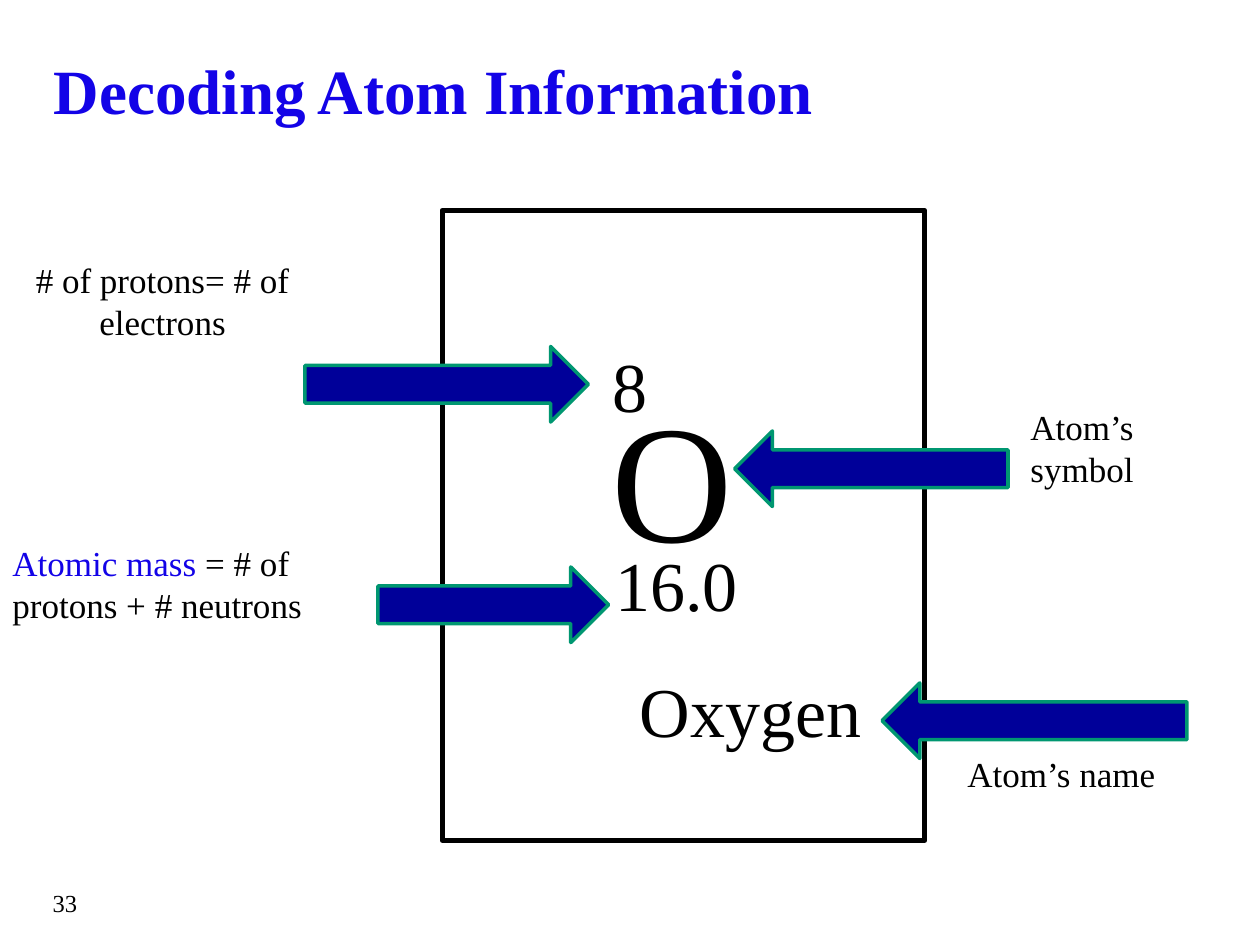
from dataclasses import dataclass

from pptx import Presentation
from pptx import util as u
from pptx.dml.color import RGBColor
from pptx.enum import shapes, text


@dataclass(frozen=True)
class Theme:
    font: str = "Times New Roman"
    ink: str = "000000"
    accent: str = "1303E7"
    paper: str = "FFFFFF"
    arrow_fill: str = "000099"
    arrow_edge: str = "009771"
    title: int = 36
    symbol: int = 96
    value: int = 40
    label: int = 20
    page_number: int = 14


LEFT, CENTER, RIGHT = text.PP_ALIGN.LEFT, text.PP_ALIGN.CENTER, text.PP_ALIGN.RIGHT


class AtomSlide:
    def __init__(self, slide, theme):
        self.slide = slide
        self.theme = theme

    def text_box(self, box, paragraphs, size, align=LEFT, bold=False,
                 anchor=text.MSO_ANCHOR.TOP):
        """Each paragraph is a list of (wording, colour) runs."""
        shape = self.slide.shapes.add_textbox(*map(u.Inches, box))
        frame = shape.text_frame
        frame.word_wrap = True
        frame.vertical_anchor = anchor
        for index, runs in enumerate(paragraphs):
            paragraph = frame.add_paragraph() if index else frame.paragraphs[0]
            paragraph.alignment = align
            for wording, color in runs:
                run = paragraph.add_run()
                run.text = wording
                run.font.name = self.theme.font
                run.font.size = u.Pt(size)
                run.font.bold = bold
                run.font.color.rgb = RGBColor.from_string(color)

    def plain_text(self, box, lines, size, align=LEFT):
        self.text_box(box, [[(line, self.theme.ink)] for line in lines], size, align)

    def outlined_shape(self, kind, box, fill, edge, width):
        shape = self.slide.shapes.add_shape(kind, *map(u.Inches, box))
        shape.shadow.inherit = False
        shape.fill.solid()
        shape.fill.fore_color.rgb = RGBColor.from_string(fill)
        shape.line.color.rgb = RGBColor.from_string(edge)
        shape.line.width = u.Pt(width)
        return shape

    def card(self, box):
        self.outlined_shape(shapes.MSO_SHAPE.RECTANGLE, box,
                            self.theme.paper, self.theme.ink, 3)

    def arrow(self, left, top, length, points_left=False):
        arrow = self.outlined_shape(
            shapes.MSO_SHAPE.RIGHT_ARROW, (left, top, length, 0.6),
            self.theme.arrow_fill, self.theme.arrow_edge, 2)
        arrow.rotation = 180 if points_left else 0


def main():
    presentation = Presentation()
    presentation.slide_width = u.Inches(10)
    presentation.slide_height = u.Inches(7.5)
    theme = Theme()
    atom = AtomSlide(presentation.slides.add_slide(presentation.slide_layouts[6]), theme)

    atom.plain_text((0, 7, 0.71, 0.5), ["33"], theme.page_number, RIGHT)
    atom.text_box((0.33, 0.33, 8.5, 0.75), [[("Decoding Atom Information", theme.accent)]],
                  theme.title, bold=True, anchor=text.MSO_ANCHOR.MIDDLE)

    atom.card((3.51, 1.67, 3.83, 5))
    for box, wording, size in (
        ((4.67, 2.92, 1.33, 1.72), "O", theme.symbol),
        ((4.83, 5.25, 2.25, 0.77), "Oxygen", theme.value),
        ((4.5, 2.67, 1, 0.77), "8", theme.value),
        ((4.58, 4.25, 1.58, 0.77), "16.0", theme.value),
    ):
        atom.plain_text(box, [wording], size, CENTER)

    for box, lines, align in (
        ((8.08, 3.17, 1.67, 0.77), ["Atom’s", "symbol"], LEFT),
        ((7.58, 5.92, 1.93, 0.44), ["Atom’s name"], LEFT),
        ((0, 2, 2.58, 0.77), ["# of protons= # of electrons"], CENTER),
    ):
        atom.plain_text(box, lines, theme.label, align)
    atom.text_box((0, 4.25, 2.83, 0.77),
                  [[("Atomic mass ", theme.accent),
                    ("= # of protons + # neutrons", theme.ink)]], theme.label)

    atom.arrow(2.42, 2.75, 2.25)
    atom.arrow(5.83, 3.42, 2.17, points_left=True)
    atom.arrow(3, 4.5, 1.83)
    atom.arrow(7, 5.42, 2.42, points_left=True)

    presentation.save("out.pptx")


if __name__ == "__main__":
    main()
